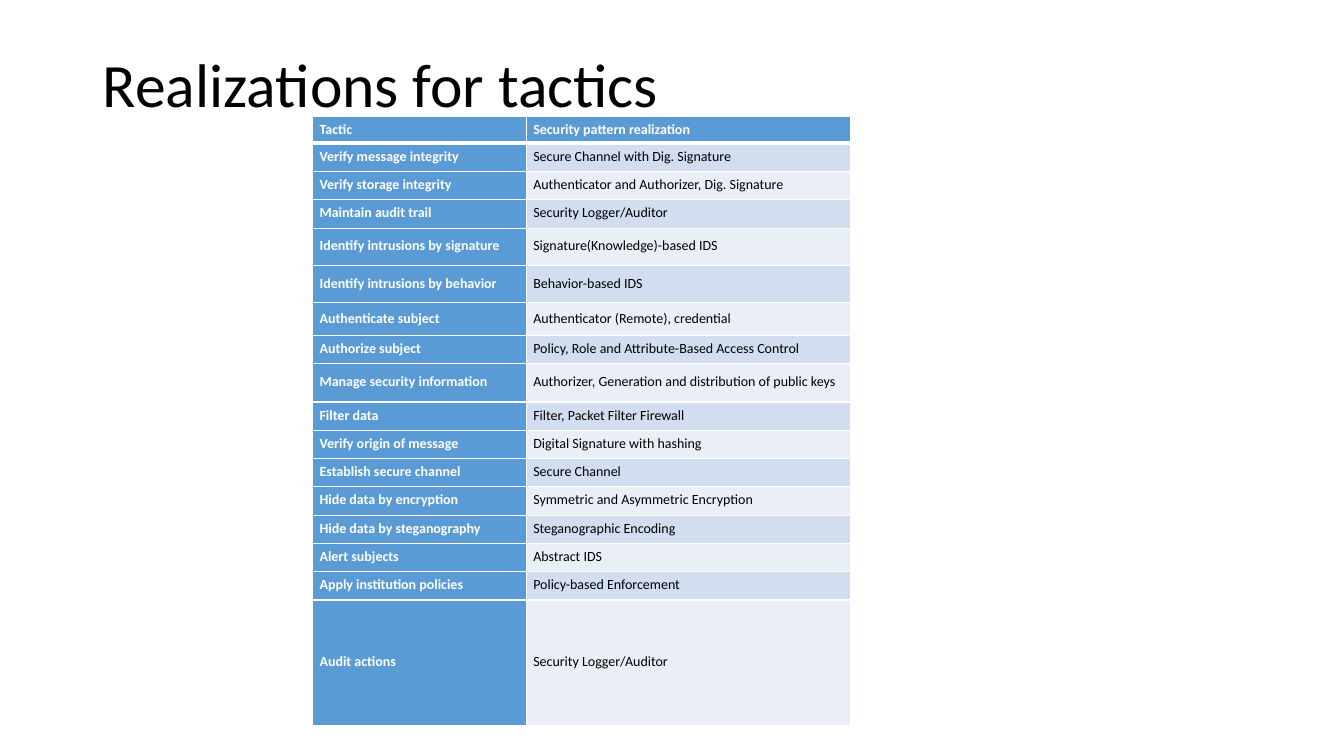
"""Build a slide that lists security tactics and their pattern realizations."""
from lxml.etree import SubElement
from pptx import Presentation
from pptx.dml.color import RGBColor as RGB
from pptx.enum.text import MSO_ANCHOR as Anchor, PP_ALIGN as Align
from pptx.oxml.ns import qn
from pptx.util import Inches, Pt

TITLE = "Realizations for tactics"
ROWS = [
    ("Tactic", "Security pattern realization", 0.27),
    ("Verify message integrity", "Secure Channel with Dig. Signature", 0.28),
    ("Verify storage integrity", "Authenticator and Authorizer, Dig. Signature", 0.28),
    ("Maintain audit trail", "Security Logger/Auditor", 0.28),
    ("Identify intrusions by signature", "Signature(Knowledge)-based IDS", 0.37),
    ("Identify intrusions by behavior", "Behavior-based IDS", 0.37),
    ("Authenticate subject", "Authenticator (Remote), credential", 0.32),
    ("Authorize subject", "Policy, Role and Attribute-Based Access Control", 0.28),
    ("Manage security information", "Authorizer, Generation and distribution of public keys", 0.38),
    ("Filter data", "Filter, Packet Filter Firewall", 0.28),
    ("Verify origin of message", "Digital Signature with hashing", 0.28),
    ("Establish secure channel", "Secure Channel", 0.28),
    ("Hide data by encryption", "Symmetric and Asymmetric Encryption", 0.28),
    ("Hide data by steganography", "Steganographic Encoding", 0.28),
    ("Alert subjects", "Abstract IDS", 0.28),
    ("Apply institution policies", "Policy-based Enforcement", 0.28),
    ("Audit actions", "Security Logger/Auditor", 1.24),
]
COLS = (2.12, 3.22)
LEFT, TOP, HIGH = 3.1, 1.15, 6.05
WIDE, TALL = 13.33, 7.5

WHITE = RGB(0xFF, 0xFF, 0xFF)
BLACK = RGB(0, 0, 0)
BLUE = RGB(0x5B, 0x9B, 0xD5)
BANDS = (RGB(0xEA, 0xEF, 0xF7), RGB(0xD2, 0xDE, 0xEF))
CELL = {
    "vertical_anchor": Anchor.MIDDLE,
    "margin_left": Inches(0.07),
    "margin_right": Inches(0.07),
    "margin_top": 0,
    "margin_bottom": 0,
}


def apply(item, form):
    for name, value in form.items():
        setattr(item, name, value)


def write(para, text, size, color, bold):
    run = para.add_run()
    run.text = text
    apply(run.font, {"name": "Calibri", "size": Pt(size), "bold": bold})
    run.font.color.rgb = color


def edge(cell, head):
    props = cell._tc.get_or_add_tcPr()
    for spot, side in enumerate("LRTB"):
        width = 3 if head and side == "B" else 1
        line = props.makeelement(qn(f"a:ln{side}"), {"w": str(Pt(width))})
        fill = SubElement(line, qn("a:solidFill"))
        SubElement(fill, qn("a:srgbClr"), val=str(WHITE))
        props.insert(spot, line)


def fill_cell(cell, text, row, col):
    head = row == 0
    key = head or col == 0
    apply(cell, CELL)
    cell.fill.solid()
    cell.fill.fore_color.rgb = BLUE if key else BANDS[row % 2]
    edge(cell, head)
    para = cell.text_frame.paragraphs[0]
    apply(para, {"alignment": Align.JUSTIFY, "line_spacing": Pt(12 if head else 11)})
    write(para, text, 10, WHITE if key else BLACK, key)


def add_grid(slide):
    place = map(Inches, (LEFT, TOP, sum(COLS), HIGH))
    grid = slide.shapes.add_table(len(ROWS), len(COLS), *place).table
    for col, width in zip(grid.columns, COLS):
        col.width = Inches(width)
    total = sum(high for *_, high in ROWS)
    for row, (*texts, high) in enumerate(ROWS):
        grid.rows[row].height = Inches(HIGH * high / total)
        for col, text in enumerate(texts):
            fill_cell(grid.cell(row, col), text, row, col)


def add_title(slide):
    place = map(Inches, (0.92, 0.4, 11.5, 0.94))
    frame = slide.shapes.add_textbox(*place).text_frame
    apply(frame, {"word_wrap": True, "vertical_anchor": Anchor.MIDDLE})
    para = frame.paragraphs[0]
    para.line_spacing = 0.9
    write(para, TITLE, 44, BLACK, False)


def main():
    deck = Presentation()
    apply(deck, {"slide_width": Inches(WIDE), "slide_height": Inches(TALL)})
    slide = deck.slides.add_slide(deck.slide_layouts[6])
    add_grid(slide)
    add_title(slide)
    deck.save("out.pptx")


if __name__ == "__main__":
    main()
